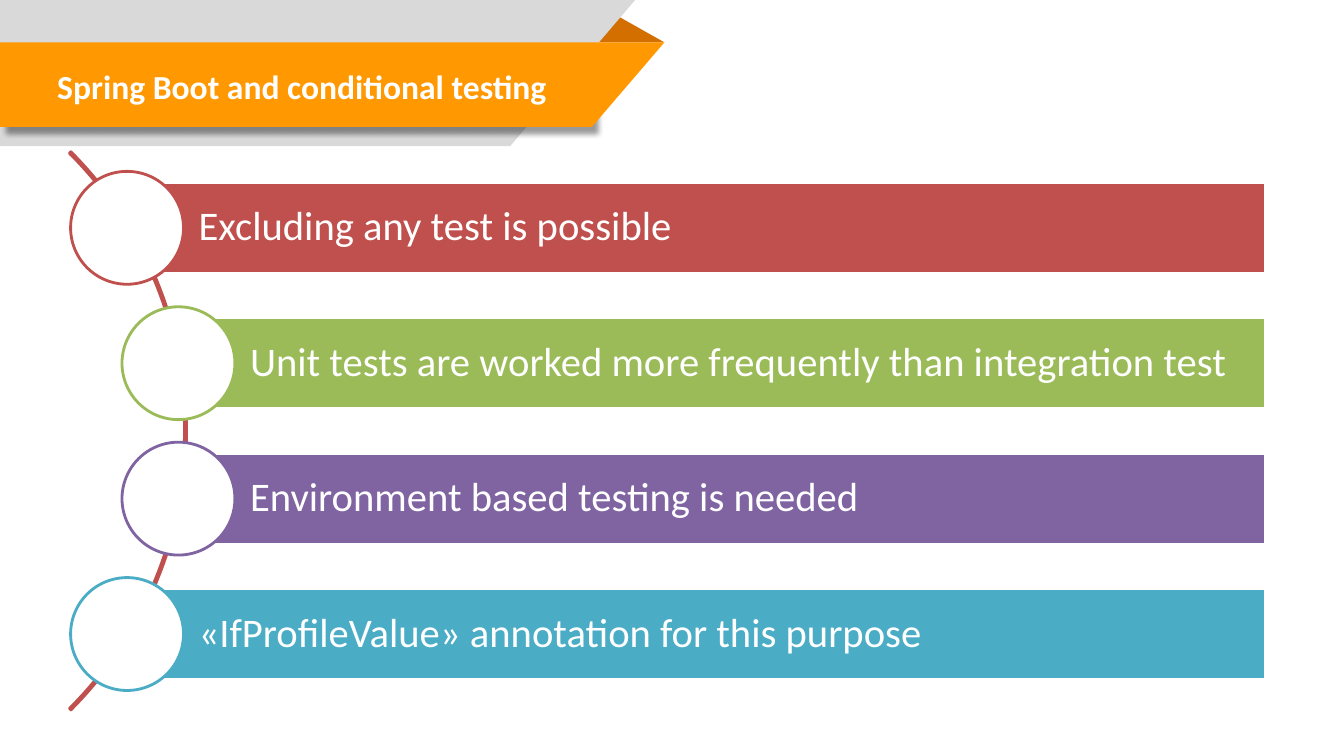
from lxml import etree
from pptx import Presentation
from pptx.dml.color import RGBColor
from pptx.enum import shapes, text
from pptx.oxml.ns import qn
from pptx.util import Inches, Pt

TITLE = "Spring Boot and conditional testing"
# text, bar colour, indent level
ROWS = [
    ("Excluding any test is possible", "red", 0),
    ("Unit tests are worked more frequently than integration test", "green", 1),
    ("Environment based testing is needed", "violet", 1),
    ("«IfProfileValue» annotation for this purpose", "blue", 0),
]
HUES = {
    "white": "FFFFFF", "grey": "D9D9D9", "orange": "FF9801", "brown": "D26F00",
    "red": "C0504D", "green": "9BBB59", "violet": "8064A2", "blue": "4BACC6",
}
KIND = shapes.MSO_SHAPE
WIDE, HIGH = 13.33, 7.5
FOLD, BAND, BACK = 0.42, 0.84, 1.45    # ribbon top, ribbon height, grey height
FIRST, LAST = 1.81, 5.84               # tops of the first and last bar
BAR, DOT, STEP = 0.9, 1.12, 0.51       # bar height, circle size, indent
LEFT, RIGHT = 1.26, 12.55
ARC, EDGE = 7.83, 1.85                 # arc size and its right end


def hue(name):
    return RGBColor.from_string(HUES[name])


def draw(slide, kind, box, fill=None, line=None):
    shape = slide.shapes.add_shape(kind, *map(Inches, box))
    shape.shadow.inherit = False
    if fill:
        shape.fill.solid()
        shape.fill.fore_color.rgb = hue(fill)
    else:
        shape.fill.background()
    if line:
        shape.line.color.rgb = hue(line)
        shape.line.width = Pt(2)
    else:
        shape.line.fill.background()
    return shape


def write(shape, words, size, align, bold=False):
    frame = shape.text_frame
    frame.text = words
    frame.word_wrap = True
    frame.vertical_anchor = text.MSO_ANCHOR.MIDDLE
    para = frame.paragraphs[0]
    para.alignment = align
    look = {"name": "Calibri", "size": Pt(size), "bold": bold}
    for key, value in look.items():
        setattr(para.runs[0].font, key, value)
    para.runs[0].font.color.rgb = hue("white")
    return frame


def shade(shape):
    """Cast a soft black shadow to the lower right."""
    effects = shape._element.spPr.find(qn("a:effectLst"))
    outer = etree.SubElement(effects, qn("a:outerShdw"), blurRad=str(Pt(4)),
                             dist=str(Pt(6)), dir="2700000", rotWithShape="0")
    black = etree.SubElement(outer, qn("a:srgbClr"), val="000000")
    etree.SubElement(black, qn("a:alpha"), val="40000")


def ribbon(slide, top, width, tip, height, fill):
    """Draw a band from the left edge with a slanted right end."""
    band = draw(slide, KIND.RECTANGLE, (0, top, width, height), fill)
    end = draw(slide, KIND.RIGHT_TRIANGLE, (width, top, tip, height), fill)
    end._element.spPr.find(qn("a:xfrm")).set("flipV", "1")
    return band


def head(slide):
    fold = draw(slide, KIND.ISOSCELES_TRIANGLE, (5.86, 0.14, 0.73, 0.28), "brown")
    fold.adjustments[0] = 0.32
    ribbon(slide, 0, 5.06, 1.24, BACK, "grey")
    shade(ribbon(slide, FOLD, 5.87, 0.72, BAND, "orange"))
    title = slide.shapes.title
    place = dict(left=0.13, top=0.44, width=5.73, height=0.82)
    for key, value in place.items():
        setattr(title, key, Inches(value))
    write(title, TITLE, 24, text.PP_ALIGN.CENTER, True)
    slide.shapes._spTree.append(title._element)


def rows(slide):
    mid = (FIRST + LAST + BAR) / 2
    arc = draw(slide, KIND.BLOCK_ARC, (EDGE - ARC, mid - ARC / 2, ARC, ARC),
               line="red")
    for i, value in enumerate((189, 27, 0.02 / ARC)):
        arc.adjustments[i] = value
    pitch = (LAST - FIRST) / (len(ROWS) - 1)
    for i, (words, tint, level) in enumerate(ROWS):
        left, top = LEFT + level * STEP, FIRST + i * pitch
        bar = draw(slide, KIND.RECTANGLE, (left, top, RIGHT - left, BAR),
                   tint, "white")
        frame = write(bar, words, 29, text.PP_ALIGN.LEFT)
        frame.paragraphs[0].line_spacing = 0.9
        for side, gap in dict(left=0.71, top=0.08, right=0.08, bottom=0.08).items():
            setattr(frame, "margin_" + side, Inches(gap))
        draw(slide, KIND.OVAL,
             (left - DOT / 2, top + (BAR - DOT) / 2, DOT, DOT), "white", tint)


def main():
    deck = Presentation()
    deck.slide_width, deck.slide_height = Inches(WIDE), Inches(HIGH)
    slide = deck.slides.add_slide(deck.slide_layouts.get_by_name("Title Only"))
    head(slide)
    rows(slide)
    deck.save("out.pptx")


if __name__ == "__main__":
    main()
